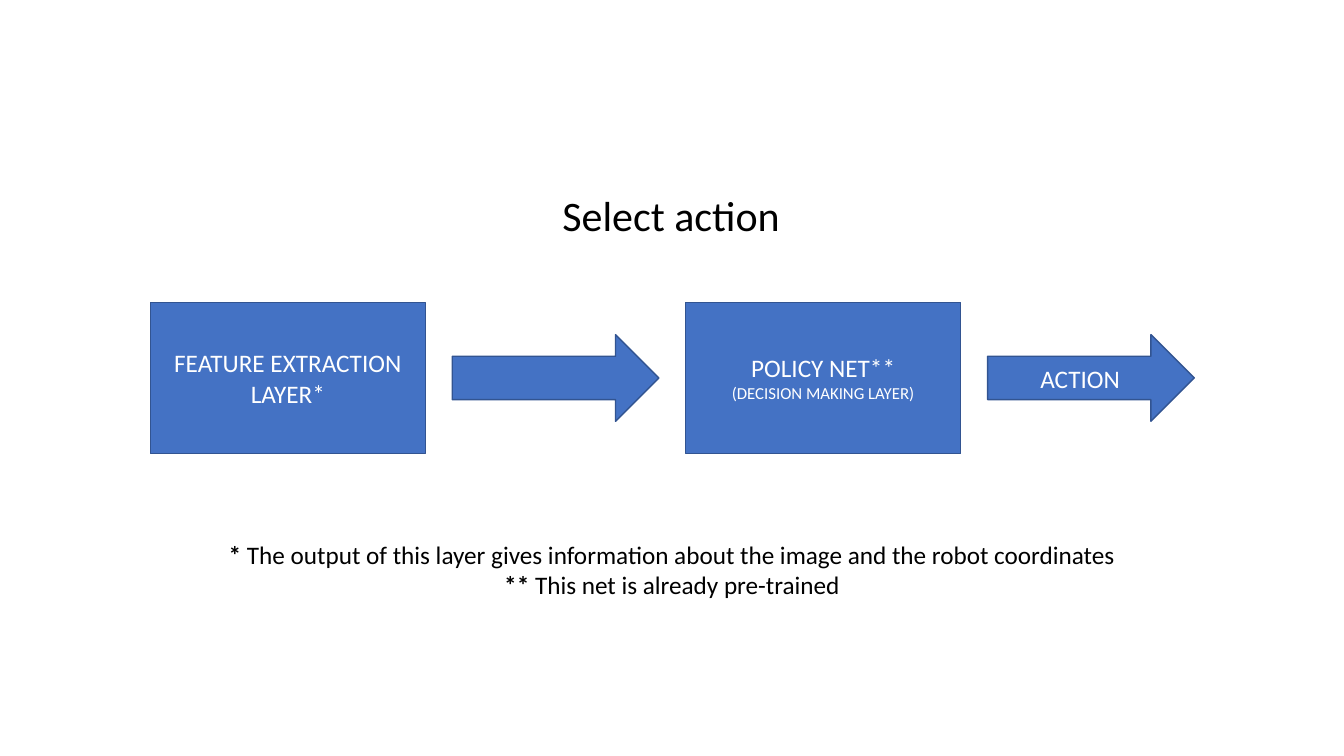
from dataclasses import dataclass

from pptx import Presentation
from pptx.dml.color import RGBColor
from pptx.enum.shapes import MSO_SHAPE
from pptx.enum.text import MSO_ANCHOR, PP_ALIGN
from pptx.util import Inches, Pt

RECTANGLE = MSO_SHAPE.RECTANGLE
RIGHT_ARROW = MSO_SHAPE.RIGHT_ARROW
MIDDLE = MSO_ANCHOR.MIDDLE
CENTER = PP_ALIGN.CENTER
LEFT = PP_ALIGN.LEFT


@dataclass(frozen=True)
class Theme:
    font: str = "Calibri"
    fill: RGBColor = RGBColor(0x44, 0x72, 0xC4)
    outline: RGBColor = RGBColor(0x32, 0x54, 0x91)
    light: RGBColor = RGBColor(0xFF, 0xFF, 0xFF)
    dark: RGBColor = RGBColor(0, 0, 0)
    title_size: int = 30
    body_size: int = 18
    detail_size: int = 12


theme = Theme()


def write_paragraph(frame, index, runs, size, color, alignment=CENTER):
    paragraph = frame.add_paragraph() if index else frame.paragraphs[0]
    paragraph.alignment = alignment
    paragraph.font.name = theme.font
    paragraph.font.size = Pt(size)
    paragraph.font.color.rgb = color
    for text, bold in runs:
        run = paragraph.add_run()
        run.text = text
        if bold:
            run.font.bold = True


def add_text_box(left, top, width, height):
    box = slide.shapes.add_textbox(Inches(left), Inches(top), Inches(width), Inches(height))
    box.text_frame.word_wrap = True
    return box.text_frame


presentation = Presentation()
presentation.slide_width = Inches(13.33)
presentation.slide_height = Inches(7.5)
slide = presentation.slides.add_slide(presentation.slide_layouts[6])

row_middle = 3.75
gap = 0.265
sizes = {RECTANGLE: (2.73, 1.5), RIGHT_ARROW: (2.05, 0.86)}
stages = [
    (RECTANGLE, [("FEATURE EXTRACTION LAYER*", theme.body_size)]),
    (RIGHT_ARROW, []),
    (RECTANGLE, [("POLICY NET**", theme.body_size),
                 ("(DECISION MAKING LAYER)", theme.detail_size)]),
    (RIGHT_ARROW, [("ACTION", theme.body_size)]),
]

left = 1.49
for kind, lines in stages:
    width, height = sizes[kind]
    shape = slide.shapes.add_shape(
        kind, Inches(left), Inches(row_middle - height / 2), Inches(width), Inches(height))
    shape.shadow.inherit = False
    shape.fill.solid()
    shape.fill.fore_color.rgb = theme.fill
    shape.line.color.rgb = theme.outline
    shape.line.width = Pt(1)
    shape.text_frame.word_wrap = True
    shape.text_frame.vertical_anchor = MIDDLE
    for index, (text, size) in enumerate(lines):
        write_paragraph(shape.text_frame, index, [(text, False)], size, theme.light)
    left += width + gap

title = add_text_box(5.48, 1.83, 2.38, 0.61)
write_paragraph(title, 0, [("Select action", False)], theme.title_size, theme.dark, LEFT)

footnotes = [
    ("*", " The output of this layer gives information about the image and the robot coordinates"),
    ("** ", "This net is already pre-trained"),
]
notes = add_text_box(2.02, 5.3, 9.29, 0.71)
for index, (mark, text) in enumerate(footnotes):
    write_paragraph(notes, index, [(mark, True), (text, False)], theme.body_size, theme.dark)

presentation.save("out.pptx")
